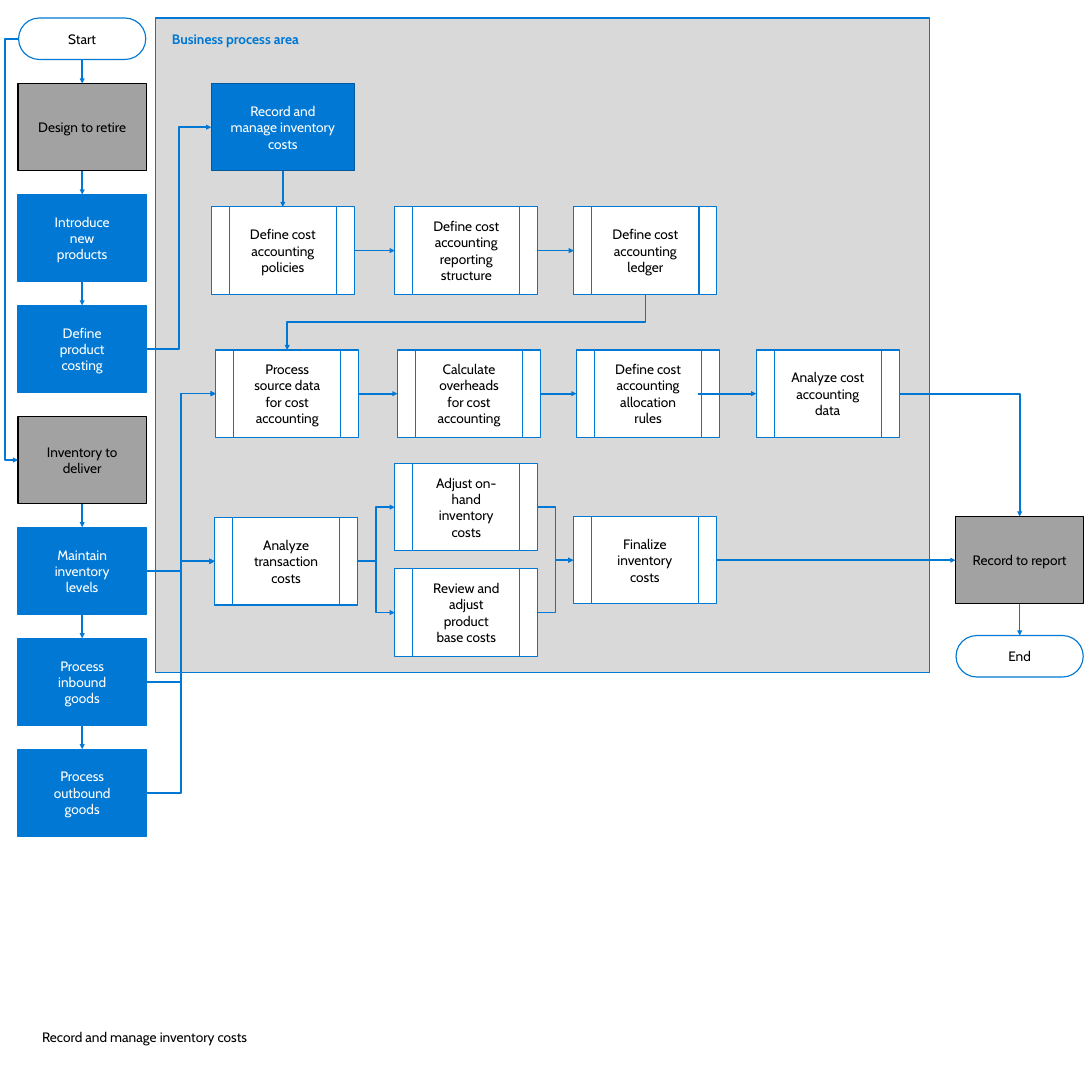
from lxml.etree import SubElement
from pptx import Presentation
from pptx.dml.color import RGBColor
from pptx.enum.shapes import MSO_CONNECTOR as Link, MSO_SHAPE as Preset
from pptx.enum.text import MSO_ANCHOR as Anchor, MSO_AUTO_SIZE as AutoSize, PP_ALIGN as Align
from pptx.oxml.ns import qn
from pptx.util import Inches, Pt

THEME = {
    "font": "Cabin", "text_size": 18, "outline": 1.5, "arrow": 2.25,
    "blue": "0078D4", "dark_blue": "00599D", "panel": "D9D9D9",
    "gray": "A2A2A2", "black": "000000", "white": "FFFFFF",
}
KINDS = {
    "panel": (Preset.RECTANGLE, 14.17, 11.98, "panel", "blue", "blue"),
    "terminal": (Preset.ROUNDED_RECTANGLE, 2.33, 0.76, "white", "blue", "black"),
    "stage": (Preset.RECTANGLE, 2.35, 1.6, "gray", "black", "black"),
    "input": (Preset.FLOWCHART_PREDEFINED_PROCESS, 2.35, 1.6, "blue", "blue", "white"),
    "focus": (Preset.RECTANGLE, 2.62, 1.6, "blue", "dark_blue", "white"),
    "step": (Preset.FLOWCHART_PREDEFINED_PROCESS, 2.62, 1.6, "white", "blue", "black"),
}
CAPTION = ("Record and manage inventory costs", 0.77, 18.84, 3.97, 0.3)
SIDE_LEFT, SIDE_TOP, SIDE_PITCH = 0.33, 1.53, 2.032
SIDE_COLUMN = [
    ("stage", "Design to retire"),
    ("input", "Introduce new products"),
    ("input", "Define product costing"),
    ("stage", "Inventory to deliver"),
    ("input", "Maintain inventory levels"),
    ("input", "Process inbound goods"),
    ("input", "Process outbound goods"),
]
PLACED = [
    ("panel", "Business process area", 2.85, 0.33),
    ("terminal", "Start", 0.34, 0.33),
    ("focus", "Record and manage inventory costs", 3.87, 1.53),
    ("step", "Define cost accounting policies", 3.87, 3.79),
    ("step", "Define cost accounting reporting structure", 7.23, 3.79),
    ("step", "Define cost accounting ledger", 10.51, 3.79),
    ("step", "Process source data for cost accounting", 3.95, 6.41),
    ("step", "Calculate overheads for cost accounting", 7.28, 6.41),
    ("step", "Define cost accounting allocation rules", 10.56, 6.41),
    ("step", "Analyze cost accounting data", 13.85, 6.41),
    ("step", "Analyze transaction costs", 3.93, 9.48),
    ("step", "Adjust on-hand inventory costs", 7.23, 8.49),
    ("step", "Review and adjust product base costs", 7.23, 10.42),
    ("step", "Finalize inventory costs", 10.5, 9.46),
    ("stage", "Record to report", 17.5, 9.46),
    ("terminal", "End", 17.51, 11.64),
]
DOWN = [
    ("Start", "Design to retire"),
    ("Design to retire", "Introduce new products"),
    ("Introduce new products", "Define product costing"),
    ("Inventory to deliver", "Maintain inventory levels"),
    ("Maintain inventory levels", "Process inbound goods"),
    ("Process inbound goods", "Process outbound goods"),
    ("Record and manage inventory costs", "Define cost accounting policies"),
    ("Record to report", "End"),
]
ACROSS = [
    ("Define cost accounting policies", "Define cost accounting reporting structure"),
    ("Define cost accounting reporting structure", "Define cost accounting ledger"),
    ("Process source data for cost accounting", "Calculate overheads for cost accounting"),
    ("Calculate overheads for cost accounting", "Define cost accounting allocation rules"),
    ("Finalize inventory costs", "Record to report"),
]
GOODS = [text for kind, text in SIDE_COLUMN[4:]]
BENT = [
    ("Define product costing", "Record and manage inventory costs"),
    *((goods, target) for goods in GOODS
      for target in ("Process source data for cost accounting", "Analyze transaction costs")),
    ("Analyze transaction costs", "Adjust on-hand inventory costs"),
    ("Analyze transaction costs", "Review and adjust product base costs"),
    ("Adjust on-hand inventory costs", "Finalize inventory costs"),
    ("Review and adjust product base costs", "Finalize inventory costs"),
]
TOP, LEFT, BOTTOM, RIGHT = range(4)


def color(name):
    return RGBColor.from_string(THEME[name])


def write(frame, text, ink, bold=False, align=Align.CENTER):
    para = frame.paragraphs[0]
    para.alignment = align
    span = para.add_run()
    span.text = text
    span.font.color.rgb = color(ink)
    look = {"name": THEME["font"], "size": Pt(THEME["text_size"]), "bold": bold}
    for name, value in look.items():
        setattr(span.font, name, value)


def add_box(page, kind, text, left, top):
    preset, width, height, fill, line, ink = KINDS[kind]
    box = page.shapes.add_shape(preset, *map(Inches, (left, top, width, height)))
    box.shadow.inherit = False
    box.fill.solid()
    box.fill.fore_color.rgb = color(fill)
    box.line.color.rgb = color(line)
    box.line.width = Pt(THEME["outline"])
    if kind == "terminal":
        box.adjustments[0] = 0.5
    is_panel = kind == "panel"
    layout = {
        "margin_left": Inches(0.3), "margin_right": Inches(0.3),
        "margin_top": Inches(0.24), "margin_bottom": Inches(0.24),
        "word_wrap": True, "vertical_anchor": Anchor.TOP if is_panel else Anchor.MIDDLE,
    }
    for name, value in layout.items():
        setattr(box.text_frame, name, value)
    write(box.text_frame, text, ink, is_panel, Align.LEFT if is_panel else Align.CENTER)
    return box


def add_arrow(page, kind, ends=(0, 0, 0, 0)):
    arrow = page.shapes.add_connector(kind, *ends)
    arrow.line.color.rgb = color("blue")
    arrow.line.width = Pt(THEME["arrow"])
    properties = arrow._element.spPr
    SubElement(properties.find(qn("a:ln")), qn("a:tailEnd"), type="triangle")
    SubElement(properties, qn("a:effectLst"))
    return arrow


def join(page, kind, source, source_side, target, target_side):
    arrow = add_arrow(page, kind)
    arrow.begin_connect(source, source_side)
    arrow.end_connect(target, target_side)
    return arrow


def main():
    deck = Presentation()
    deck.slide_width = deck.slide_height = Inches(20)
    page = deck.slides.add_slide(deck.slide_layouts[6])

    side = [(kind, text, SIDE_LEFT, SIDE_TOP + row * SIDE_PITCH)
            for row, (kind, text) in enumerate(SIDE_COLUMN)]
    boxes = {item[1]: add_box(page, *item) for item in PLACED + side}

    for pairs, kind, source_side, target_side in (
        (DOWN, Link.STRAIGHT, BOTTOM, TOP),
        (ACROSS, Link.STRAIGHT, RIGHT, LEFT),
        (BENT, Link.ELBOW, RIGHT, LEFT),
    ):
        for source, target in pairs:
            join(page, kind, boxes[source], source_side, boxes[target], target_side)

    loop = join(page, Link.ELBOW, boxes["Start"], LEFT, boxes["Inventory to deliver"], LEFT)
    guides = loop._element.spPr.find(qn("a:prstGeom")).find(qn("a:avLst"))
    SubElement(guides, qn("a:gd"), name="adj1", fmla="val 2500000")

    analysis = boxes["Analyze cost accounting data"]
    corner = join(page, Link.ELBOW, analysis, RIGHT, boxes["Record to report"], TOP)
    corner._element.spPr.find(qn("a:prstGeom")).set("prst", "bentConnector2")

    middle = analysis.top + analysis.height // 2
    add_arrow(page, Link.STRAIGHT, (Inches(12.78), middle, analysis.left, middle))

    ledger = boxes["Define cost accounting ledger"]
    intake = boxes["Process source data for cost accounting"]
    start_x, end_x = (box.left + box.width // 2 for box in (ledger, intake))
    start_y, end_y = ledger.top + ledger.height, intake.top
    drop, span_x = end_y - start_y, start_x - end_x
    left = (start_x + end_x - drop) // 2
    top = (start_y + end_y - span_x) // 2
    turn = add_arrow(page, Link.ELBOW, (left, top, left + drop, top + span_x))
    turn.rotation = 90

    text, *place = CAPTION
    caption = page.shapes.add_textbox(*map(Inches, place)).text_frame
    layout = {"margin_left": 0, "margin_right": 0, "margin_top": 0, "margin_bottom": 0,
              "word_wrap": False, "auto_size": AutoSize.SHAPE_TO_FIT_TEXT}
    for name, value in layout.items():
        setattr(caption, name, value)
    write(caption, text, "black", align=Align.LEFT)

    deck.save("out.pptx")


if __name__ == "__main__":
    main()
